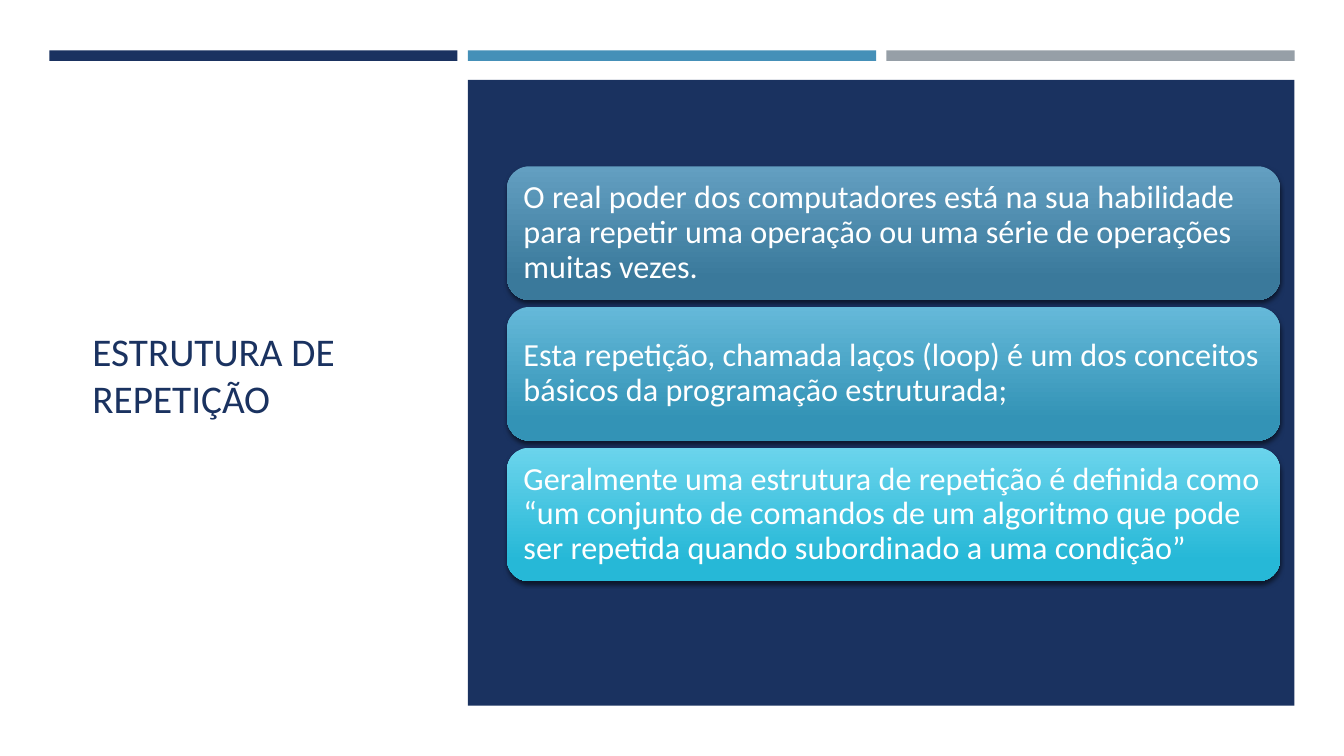
"""Build the slide on repetition structures."""
from lxml.etree import SubElement
from pptx import Presentation
from pptx.dml.color import RGBColor as RGB
from pptx.enum.shapes import MSO_SHAPE as SHAPE
from pptx.enum.text import MSO_ANCHOR as ANCHOR, PP_ALIGN as ALIGN
from pptx.oxml.ns import qn
from pptx.util import Pt

NAVY = RGB(0x1A, 0x32, 0x60)
BLUE = RGB(0x45, 0x90, 0xB8)
GRAY = RGB(0x96, 0x9F, 0xA7)
WHITE = RGB(0xFF, 0xFF, 0xFF)
BLACK = RGB(0, 0, 0)

TITLE = "ESTRUTURA DE REPETIÇÃO"
BARS = [NAVY, BLUE, GRAY]
CARDS = [
    ("O real poder dos computadores está na sua habilidade para repetir uma "
     "operação ou uma série de operações muitas vezes.",
     RGB(0x63, 0x9F, 0xC1), RGB(0x3A, 0x79, 0x9B)),
    ("Esta repetição, chamada laços (loop) é um dos conceitos básicos da "
     "programação estruturada;",
     RGB(0x65, 0xB9, 0xD9), RGB(0x33, 0x93, 0xB6)),
    ("Geralmente uma estrutura de repetição é definida como “um conjunto de "
     "comandos de um algoritmo que pode ser repetida quando subordinado a "
     "uma condição”",
     RGB(0x6B, 0xD4, 0xEC), RGB(0x26, 0xB8, 0xD7)),
]


def write(shape, text, size, color, spacing=1.0):
    frame = shape.text_frame
    frame.word_wrap = True
    frame.vertical_anchor = ANCHOR.MIDDLE
    frame.margin_left = frame.margin_right = Pt(7.2)
    frame.margin_top = frame.margin_bottom = Pt(7.2)
    para = frame.paragraphs[0]
    para.alignment = ALIGN.LEFT
    para.line_spacing = spacing
    run = para.add_run()
    run.text = text
    run.font.name = "Calibri"
    run.font.size = Pt(size)
    run.font.color.rgb = color


def block(slide, kind, box, color=None):
    shape = slide.shapes.add_shape(kind, *map(Pt, box))
    shape.line.fill.background()
    shape.shadow.inherit = False
    if color is not None:
        shape.fill.solid()
        shape.fill.fore_color.rgb = color
    return shape


def shade(shape, top, base):
    shape.fill.gradient()
    shape.fill.gradient_angle = 270
    for stop, color, place in zip(shape.fill.gradient_stops, (top, base), (0, 0.84)):
        stop.color.rgb = color
        stop.position = place


def cast(shape):
    effects = shape._element.spPr.find(qn("a:effectLst"))
    outer = SubElement(effects, qn("a:outerShdw"), blurRad=str(Pt(3)),
                       dist=str(Pt(2)), dir="5400000", rotWithShape="0")
    tint = SubElement(outer, qn("a:srgbClr"), val=str(BLACK))
    SubElement(tint, qn("a:alpha"), val="55000")


def main():
    deck = Presentation()
    deck.slide_width, deck.slide_height = Pt(960), Pt(540)
    slide = deck.slides.add_slide(deck.slide_layouts[6])
    slide.background.fill.solid()
    slide.background.fill.fore_color.rgb = WHITE

    title = slide.shapes.add_textbox(*map(Pt, (59, 82, 240.5, 371)))
    write(title, TITLE, 28, NAVY)

    for i, color in enumerate(BARS):
        block(slide, SHAPE.RECTANGLE, (35.2 + i * 299, 36, 291.6, 7.5), color)
    block(slide, SHAPE.RECTANGLE, (334.2, 57, 590.4, 447), NAVY)

    for i, (text, top, base) in enumerate(CARDS):
        card = block(slide, SHAPE.ROUNDED_RECTANGLE,
                     (362.2, 118.8 + i * 100.5, 552.2, 95.4))
        shade(card, top, base)
        cast(card)
        write(card, text, 23, WHITE, spacing=0.9)

    deck.save("out.pptx")


if __name__ == "__main__":
    main()
